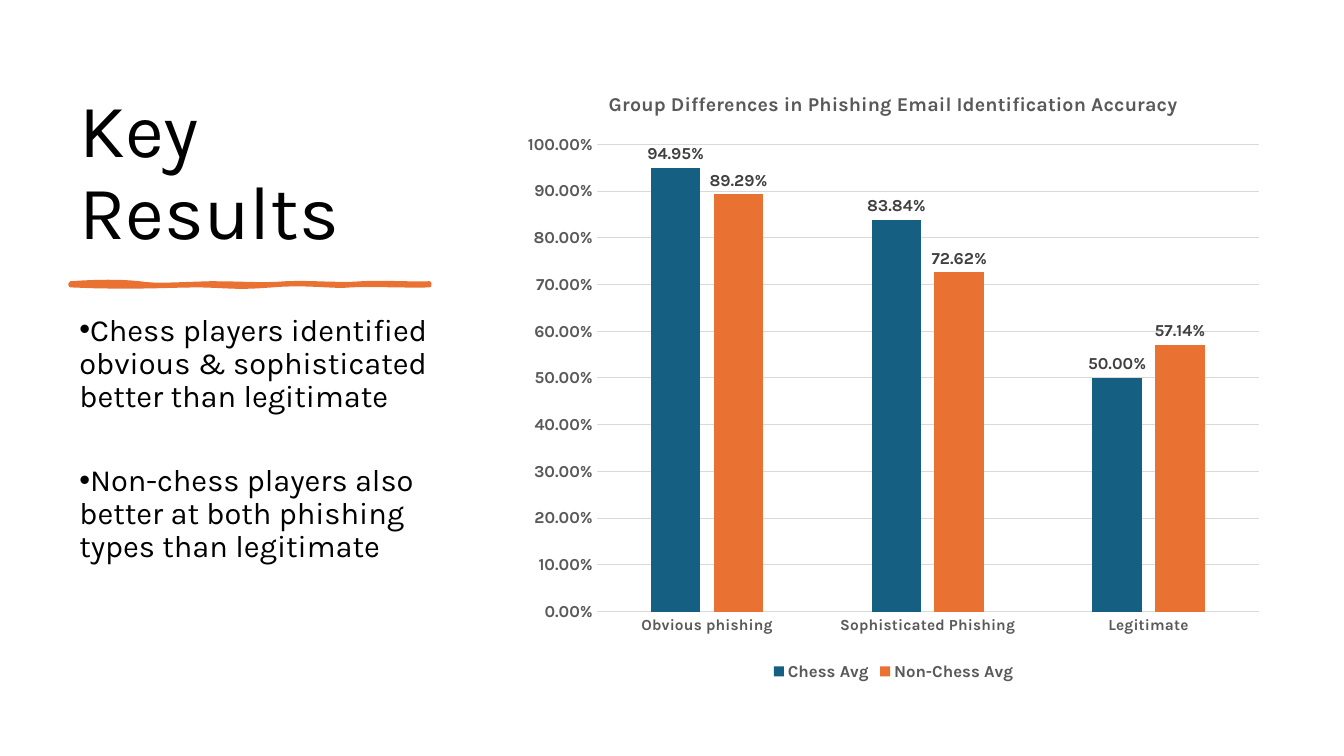
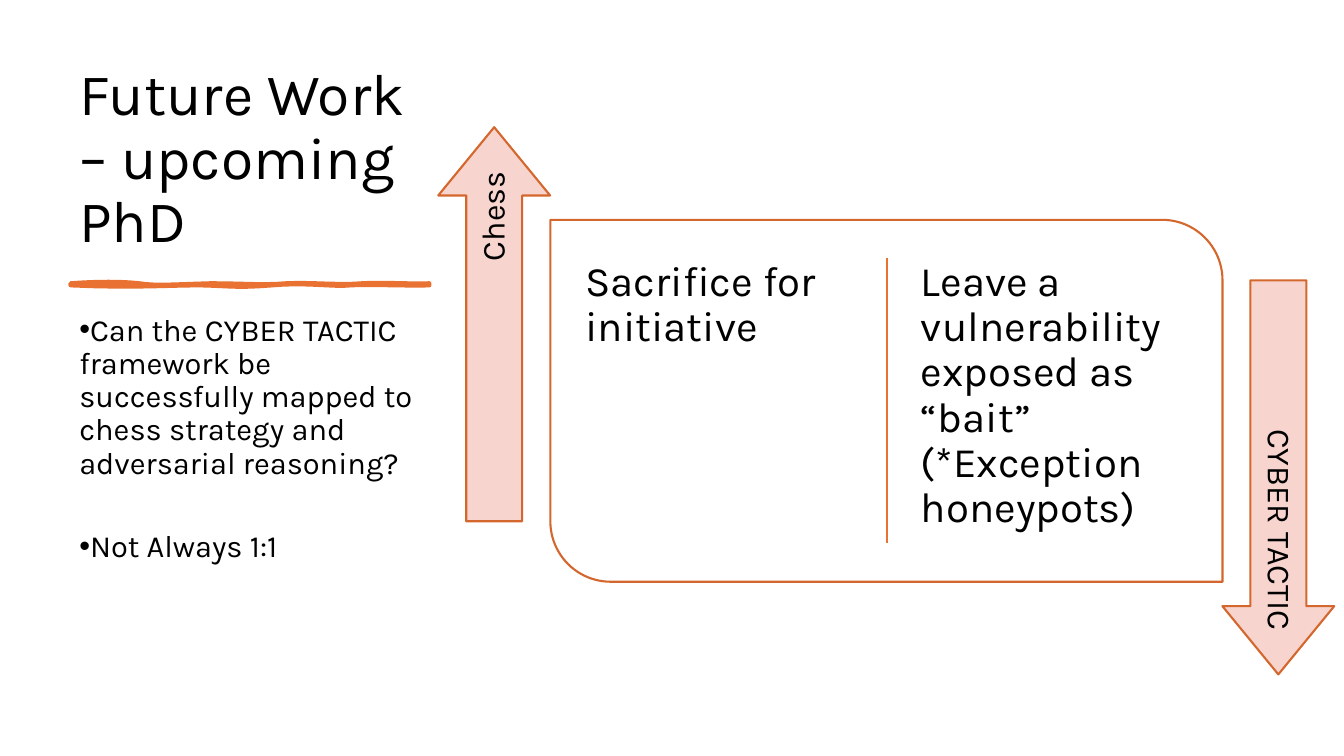
"""Build two research slides: key results with a chart, and future work with a diagram."""
import lxml.etree
import pptx
import pptx.chart.data
import pptx.dml.color
import pptx.enum.chart
import pptx.enum.shapes
import pptx.enum.text
import pptx.oxml
import pptx.oxml.ns
import pptx.util

Cm = pptx.util.Cm
Pt = pptx.util.Pt
qn = pptx.oxml.ns.qn
RGBColor = pptx.dml.color.RGBColor
MSO_SHAPE = pptx.enum.shapes.MSO_SHAPE
MSO_ANCHOR = pptx.enum.text.MSO_ANCHOR
PP_ALIGN = pptx.enum.text.PP_ALIGN

FONT = "Karla"
COLORS = {
    "text": "000000",
    "chess": "156082",
    "accent": "E97132",
    "outline": "D3672D",
    "arrow": "F7D5CE",
    "panel": "FFFFFF",
    "axis_text": "595959",
    "label_text": "404040",
    "grid": "D9D9D9",
}


def color(name):
    return RGBColor.from_string(COLORS[name])


def style_font(font, size, color_name="text", bold=False):
    font.name = FONT
    font.size = Pt(size)
    font.bold = bold
    font.color.rgb = color(color_name)


presentation = pptx.Presentation()
presentation.slide_width = Cm(33.87)
presentation.slide_height = Cm(19.05)

slide_texts = [
    ("Key Results", 54, [
        "Chess players identified obvious & sophisticated better than legitimate",
        "Non-chess players also better at both phishing types than legitimate",
    ]),
    ("Future Work – upcoming PhD", 42, [
        "Can the CYBER TACTIC framework be successfully mapped to chess strategy "
        "and adversarial reasoning?",
        "Not Always 1:1",
    ]),
]

brush_start = (1.78, 7.14)
brush_curves = [
    ((2.46, 7.09), (3.07, 7.09), (3.51, 7.14)),
    ((3.94, 7.21), (4.5, 7.16), (5.31, 7.14)),
    ((6.12, 7.14), (6.6, 7.19), (7.21, 7.14)),
    ((7.82, 7.11), (8.61, 7.19), (9.12, 7.14)),
    ((9.63, 7.11), (10.46, 7.16), (10.82, 7.14)),
    ((10.82, 7.16), (10.82, 7.19), (10.82, 7.19)),
    ((10.36, 7.21), (9.25, 7.16), (8.84, 7.19)),
    ((8.43, 7.24), (7.72, 7.11), (6.86, 7.19)),
    ((5.97, 7.26), (5.87, 7.21), (5.05, 7.19)),
    ((4.22, 7.19), (3.35, 7.26), (1.78, 7.19)),
]
curve_steps = 8
brush_points = []
start = brush_start
for control_1, control_2, end in brush_curves:
    for step in range(1, curve_steps + 1):
        t = step / curve_steps
        weights = ((1 - t) ** 3, 3 * t * (1 - t) ** 2, 3 * t * t * (1 - t), t ** 3)
        corners = (start, control_1, control_2, end)
        brush_points.append(tuple(
            Cm(sum(weight * corner[axis] for weight, corner in zip(weights, corners)))
            for axis in (0, 1)
        ))
    start = end

slides = []
for title, title_size, bullets in slide_texts:
    slide = presentation.slides.add_slide(presentation.slide_layouts[6])
    slides.append(slide)

    title_box = slide.shapes.add_textbox(Cm(1.75), Cm(1.78), Cm(9.53), Cm(4.78))
    title_box.text_frame.word_wrap = True
    title_box.text_frame.vertical_anchor = MSO_ANCHOR.BOTTOM
    title_box.text_frame.text = title
    paragraph = title_box.text_frame.paragraphs[0]
    paragraph.line_spacing = 0.9
    paragraph.space_after = Pt(6)
    style_font(paragraph.runs[0].font, title_size)

    builder = slide.shapes.build_freeform(Cm(brush_start[0]), Cm(brush_start[1]))
    builder.add_line_segments(brush_points)
    brush = builder.convert_to_shape()
    brush.shadow.inherit = False
    brush.fill.solid()
    brush.fill.fore_color.rgb = color("accent")
    brush.line.color.rgb = color("accent")
    brush.line.width = Pt(3)

    bullet_box = slide.shapes.add_textbox(Cm(1.75), Cm(7.8), Cm(9.53), Cm(9.47))
    bullet_box.text_frame.word_wrap = True
    bullet_box.text_frame.text = "\n".join(bullets)
    for paragraph in bullet_box.text_frame.paragraphs:
        paragraph.line_spacing = 0.9
        paragraph.space_after = Pt(36)
        properties = paragraph._p.get_or_add_pPr()
        properties.set("marL", "0")
        properties.set("indent", str(-Cm(0.64)))
        lxml.etree.SubElement(properties, qn("a:buFont")).set("typeface", "Arial")
        lxml.etree.SubElement(properties, qn("a:buChar")).set("char", "•")
        style_font(paragraph.runs[0].font, 22)

results_slide, future_slide = slides

chart_data = pptx.chart.data.CategoryChartData(number_format="0.00%")
chart_data.categories = ["Obvious phishing", "Sophisticated Phishing", "Legitimate"]
chart_data.add_series("Chess Avg", (0.9495, 0.8384, 0.5))
chart_data.add_series("Non-Chess Avg", (0.8929, 0.7262, 0.5714))
chart = results_slide.shapes.add_chart(
    pptx.enum.chart.XL_CHART_TYPE.COLUMN_CLUSTERED,
    Cm(12.93), Cm(1.78), Cm(19.18), Cm(15.49), chart_data,
).chart
style_font(chart.font, 10)

chart.has_title = True
chart.chart_title.include_in_layout = False
chart.chart_title.text_frame.text = "Group Differences in Phishing Email Identification Accuracy"
style_font(chart.chart_title.text_frame.paragraphs[0].runs[0].font, 14, "axis_text", True)

chart.has_legend = True
chart.legend.position = pptx.enum.chart.XL_LEGEND_POSITION.BOTTOM
chart.legend.include_in_layout = False
style_font(chart.legend.font, 12, "axis_text", True)

for axis, size in ((chart.category_axis, 11), (chart.value_axis, 12)):
    axis.major_tick_mark = pptx.enum.chart.XL_TICK_MARK.NONE
    axis.minor_tick_mark = pptx.enum.chart.XL_TICK_MARK.NONE
    style_font(axis.tick_labels.font, size, "axis_text", True)

value_axis = chart.value_axis
value_axis.minimum_scale = 0
value_axis.maximum_scale = 1
value_axis.major_unit = 0.1
value_axis.tick_labels.number_format = "0.00%"
value_axis.tick_labels.number_format_is_linked = False
value_axis.format.line.fill.background()
for line in (chart.category_axis.format.line, value_axis.major_gridlines.format.line):
    line.color.rgb = color("grid")
    line.width = Pt(0.75)

plot = chart.plots[0]
plot.vary_by_categories = False
plot.gap_width = 219
plot.overlap = -27
for series, color_name in zip(plot.series, ("chess", "accent")):
    series.format.fill.solid()
    series.format.fill.fore_color.rgb = color(color_name)
    labels = series.data_labels
    labels.show_value = True
    labels.number_format = "0.00%"
    labels.number_format_is_linked = False
    labels.position = pptx.enum.chart.XL_LABEL_POSITION.OUTSIDE_END
    style_font(labels.font, 12, "label_text", True)

plot_area = chart._chartSpace.chart.plotArea
for old_layout in plot_area.findall(qn("c:layout")):
    plot_area.remove(old_layout)
layout = lxml.etree.Element(qn("c:layout"))
plot_area.insert(0, layout)
manual_layout = lxml.etree.SubElement(layout, qn("c:manualLayout"))
for tag, value in (
    ("layoutTarget", "inner"), ("xMode", "edge"), ("yMode", "edge"),
    ("x", "0.11"), ("y", "0.12"), ("w", "0.87"), ("h", "0.76"),
):
    lxml.etree.SubElement(manual_layout, qn(f"c:{tag}")).set("val", value)

panel = future_slide.shapes.add_shape(
    MSO_SHAPE.ROUND_2_DIAG_RECTANGLE, Cm(13.87), Cm(5.54), Cm(16.94), Cm(9.12))
panel.adjustments[0] = 0
panel.adjustments[1] = 0.167
diagram_shapes = [(panel, "panel")]

divider = future_slide.shapes.add_connector(
    pptx.enum.shapes.MSO_CONNECTOR.STRAIGHT, Cm(22.35), Cm(6.5), Cm(22.35), Cm(13.69))
divider.line.color.rgb = color("accent")
divider.line.width = Pt(1.5)
lxml.etree.SubElement(divider._element.spPr, qn("a:effectLst"))

for left, text in (
    (14.45, "Sacrifice for initiative"),
    (22.91, "Leave a vulnerability exposed as “bait” (*Exception honeypots)"),
):
    column = future_slide.shapes.add_textbox(Cm(left), Cm(6.25), Cm(7.34), Cm(7.72))
    frame = column.text_frame
    frame.word_wrap = True
    frame.margin_left = frame.margin_right = frame.margin_top = frame.margin_bottom = Cm(0.3)
    frame.text = text
    frame.paragraphs[0].line_spacing = 0.9
    style_font(frame.paragraphs[0].runs[0].font, 30)

for left, top, rotation, text in (
    (7.49, 6.76, 270, "Chess"),
    (27.25, 10.62, 90, "CYBER TACTIC"),
):
    arrow = future_slide.shapes.add_shape(
        MSO_SHAPE.RIGHT_ARROW, Cm(left), Cm(top), Cm(9.93), Cm(2.82))
    arrow.rotation = rotation
    arrow.adjustments[0] = 0.5
    arrow.adjustments[1] = 0.61
    diagram_shapes.append((arrow, "arrow"))
    frame = arrow.text_frame
    frame.word_wrap = True
    frame.vertical_anchor = MSO_ANCHOR.MIDDLE
    frame.margin_left = frame.margin_right = frame.margin_top = frame.margin_bottom = Cm(0.25)
    frame.text = text
    paragraph = frame.paragraphs[0]
    paragraph.alignment = PP_ALIGN.RIGHT
    paragraph.line_spacing = 0.9
    style_font(paragraph.runs[0].font, 23)

for shape, fill_name in diagram_shapes:
    shape.shadow.inherit = False
    shape.fill.solid()
    shape.fill.fore_color.rgb = color(fill_name)
    shape.line.color.rgb = color("outline")
    shape.line.width = Pt(1.5)

presentation.save("out.pptx")
